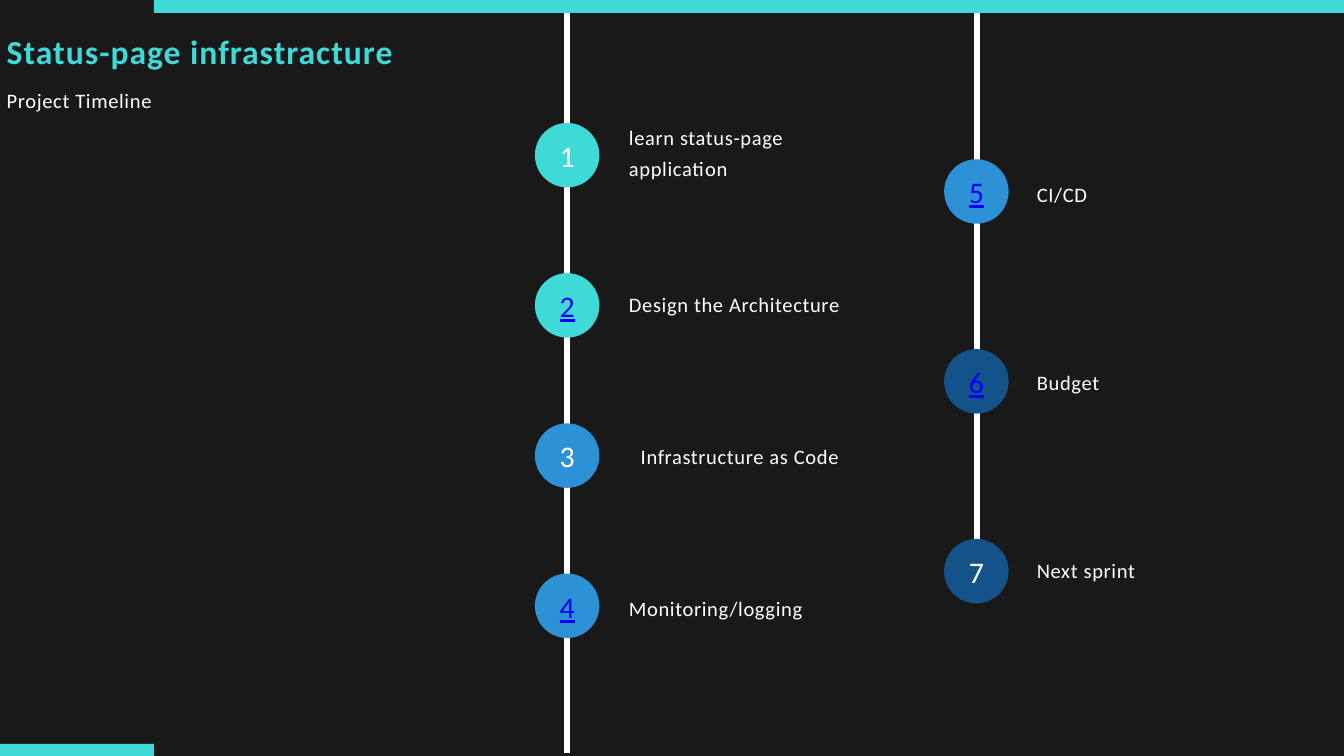
"""Build the project timeline slide with two columns of numbered milestones."""
import pptx
import pptx.dml.color
import pptx.enum.shapes
import pptx.enum.text
import pptx.oxml.ns
import pptx.util

Inches = pptx.util.Inches
Pt = pptx.util.Pt
RGB = pptx.dml.color.RGBColor.from_string
SHAPE = pptx.enum.shapes.MSO_SHAPE
ALIGN = pptx.enum.text.PP_ALIGN
ANCHOR = pptx.enum.text.MSO_ANCHOR
COLORS = {"bg": "191919", "white": "FFFFFF", "teal": "3EDAD8",
          "blue": "2C92D5", "navy": "13538A", "link": "0000FF"}


def write(sp, text, size=22, spacing=33, color="white", bold=False, underline=False,
          align=ALIGN.LEFT, anchor=ANCHOR.TOP, tracking=70, bottom=0):
    tf = sp.text_frame
    tf.word_wrap = True
    tf.auto_size = pptx.enum.text.MSO_AUTO_SIZE.NONE
    tf.vertical_anchor = anchor
    tf.margin_left = tf.margin_right = tf.margin_top = 0
    tf.margin_bottom = Inches(bottom)
    p = tf.paragraphs[0]
    p.alignment = align
    p.line_spacing = Pt(spacing)
    p.space_before = Pt(0)
    r = p.add_run()
    r.text = text
    r.font.name = "Calibri"
    r.font.size = Pt(size)
    r.font.bold = bold
    r.font.underline = underline
    r.font.color.rgb = RGB(COLORS[color])
    r.font._element.set("spc", str(tracking))


def add_filled(kind, x, y, w, h, color):
    sp = s.shapes.add_shape(kind, Inches(x), Inches(y), Inches(w), Inches(h))
    sp.shadow.inherit = False
    sp.fill.solid()
    sp.fill.fore_color.rgb = RGB(COLORS[color])
    sp.line.fill.background()
    return sp


prs = pptx.Presentation()
prs.slide_width, prs.slide_height = Inches(20), Inches(11.25)
s = prs.slides.add_slide(prs.slide_layouts[5])
s.background.fill.solid()
s.background.fill.fore_color.rgb = RGB(COLORS["bg"])

for x, top, bottom in [(8.44, -0.62, 11.21), (14.54, -0.04, 8.11)]:
    line = s.shapes.add_connector(pptx.enum.shapes.MSO_CONNECTOR.STRAIGHT,
                                  Inches(x), Inches(bottom), Inches(x), Inches(top))
    line.line.width = Pt(6)
    line.line.color.rgb = RGB(COLORS["white"])
    line._element.spPr.append(pptx.oxml.parse_xml(
        f"<a:effectLst {pptx.oxml.ns.nsdecls('a')}/>"))

add_filled(SHAPE.RECTANGLE, -0.21, 11.07, 2.5, 0.18, "teal")
add_filled(SHAPE.RECTANGLE, 2.29, 0, 17.71, 0.19, "teal")

title = s.shapes.title
title.left, title.top, title.width, title.height = map(Inches, (0.1, 0.41, 6.67, 0.63))
write(title, "Status-page infrastracture", size=36, spacing=46.8, color="teal",
      bold=True, tracking=110)
subtitle = s.shapes.add_textbox(Inches(0.1), Inches(1.22), Inches(6.67), Inches(0.4))
write(subtitle, "Project Timeline")

columns = [
    (7.96, 1.83, 2.235, 9.36, [
        ("1", "teal", "white", "learn status-page application", 1.77, 0.87),
        ("2", "teal", "link", "Design the Architecture", 4.26, 0.42),
        ("3", "blue", "white", "Infrastructure as Code", 6.52, 0.42),
        ("4", "blue", "link", "Monitoring/logging", 8.78, 0.42)]),
    (14.05, 2.37, 2.825, 15.43, [
        ("5", "blue", "link", "CI/CD", 2.61, 0.42),
        ("6", "navy", "link", "Budget", 5.41, 0.42),
        ("7", "navy", "white", "Next sprint", 8.21, 0.42)]),
]
for x, first, step, label_x, milestones in columns:
    for i, (number, fill, color, text, label_y, label_h) in enumerate(milestones):
        circle = add_filled(SHAPE.OVAL, x, first + i * step, 0.96, 0.96, fill)
        write(circle, number, size=32, spacing=48, color=color, underline=color == "link",
              align=ALIGN.CENTER, anchor=ANCHOR.MIDDLE, tracking=100, bottom=0.12)
        centered = number == "3"
        label = s.shapes.add_textbox(Inches(label_x), Inches(label_y),
                                     Inches(3.3 if centered else 3.44), Inches(label_h))
        write(label, text, align=ALIGN.CENTER if centered else ALIGN.LEFT)

prs.save("out.pptx")
